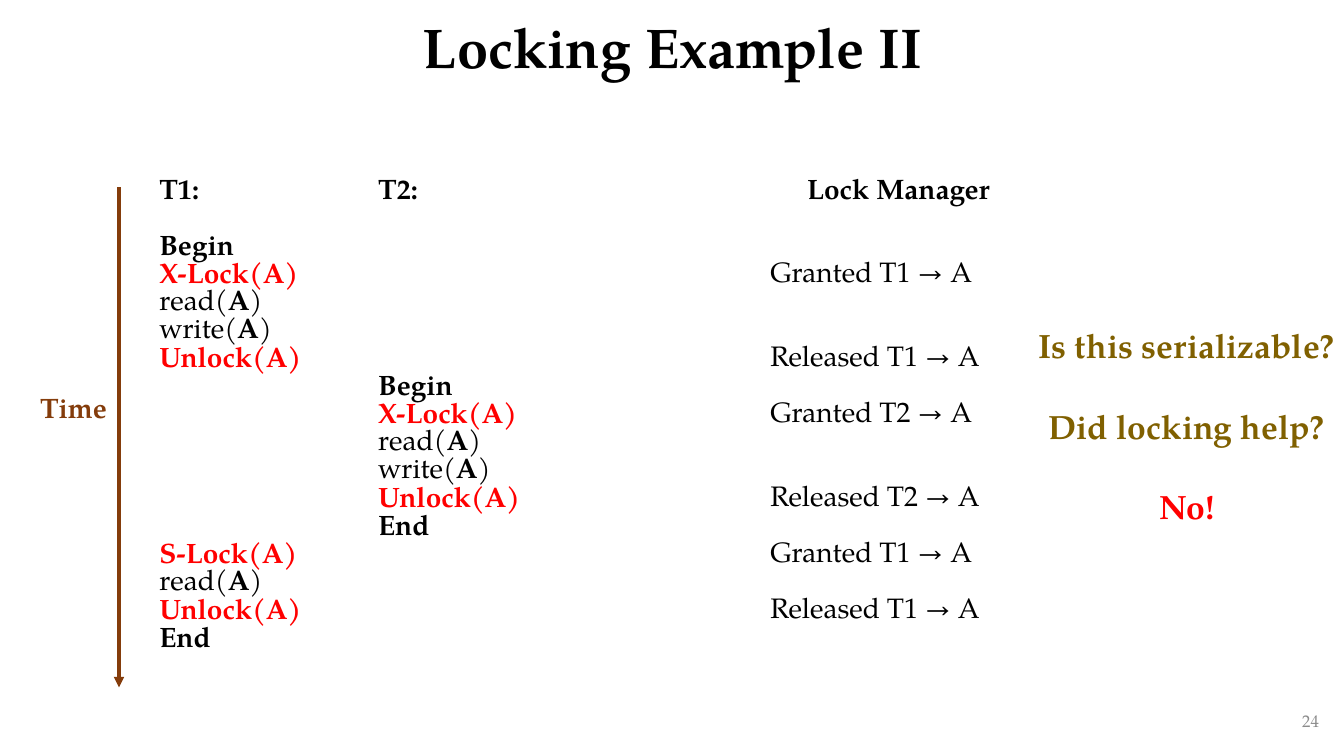
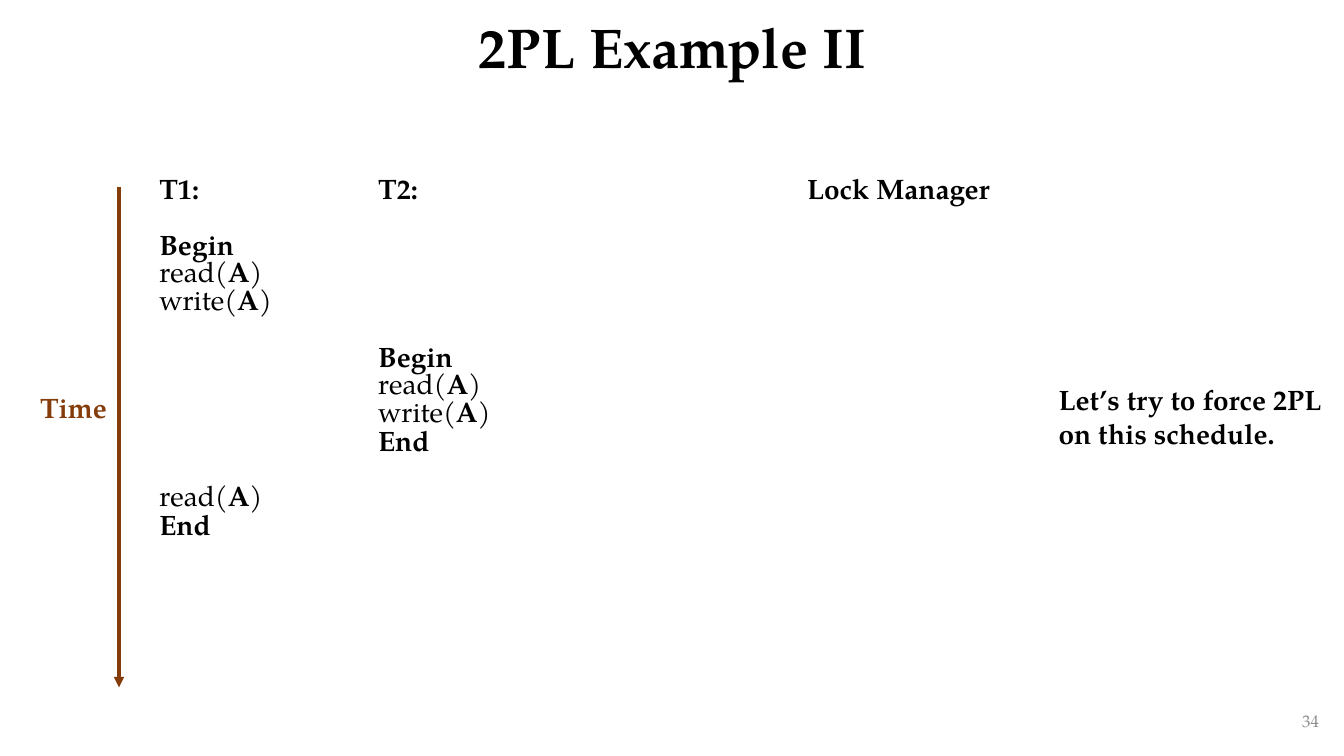
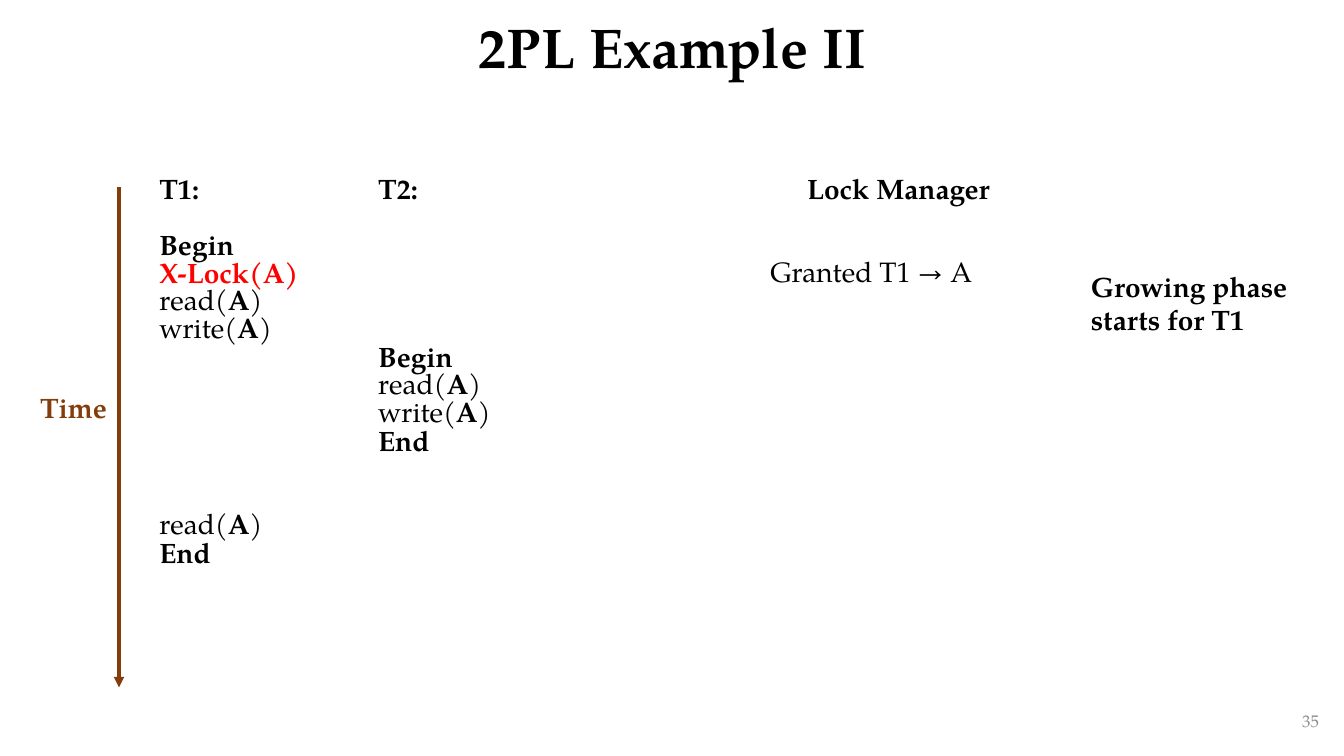
from pptx import Presentation
from pptx.dml.color import RGBColor
from pptx.enum.shapes import MSO_CONNECTOR
from pptx.enum.text import MSO_ANCHOR, PP_ALIGN
from pptx.oxml.ns import qn
from pptx.util import Inches, Pt
from lxml import etree

LEFT, CENTER, RIGHT = PP_ALIGN.LEFT, PP_ALIGN.CENTER, PP_ALIGN.RIGHT
TOP, MIDDLE = MSO_ANCHOR.TOP, MSO_ANCHOR.MIDDLE
STRAIGHT = MSO_CONNECTOR.STRAIGHT

FONT = "TeX Gyre Pagella"
COLORS = {"black": "000000", "red": "FF0000", "brown": "843C0B",
          "olive": "806000", "gray": "8C8C8C"}
LINE = 20  # height in points of one schedule step
TABLE_TOP = 1.72


class Deck:
    def __init__(self):
        self.prs = Presentation()
        self.prs.slide_width, self.prs.slide_height = Inches(13.33), Inches(7.5)
        self.slide = None

    def style(self, r, size=20, color="black", bold=True):
        r.font.name, r.font.size, r.font.bold = FONT, Pt(size), bold
        r.font.color.rgb = RGBColor.from_string(COLORS[color])

    def text(self, x, y, w, h, lines, size=20, color="black", bold=True,
             align=LEFT, anchor=TOP, spacing=None, gap=0):
        """Text box; a line is a string or a (string, color) pair."""
        tf = self.slide.shapes.add_textbox(
            Inches(x), Inches(y), Inches(w), Inches(h)).text_frame
        tf.word_wrap, tf.vertical_anchor = True, anchor
        for i, line in enumerate(lines):
            words, ink = (line, color) if isinstance(line, str) else line
            p = tf.add_paragraph() if i else tf.paragraphs[0]
            p.text, p.alignment = words, align
            if spacing:
                p.line_spacing = spacing
            if i and gap:
                p.space_before = Pt(gap)
            self.style(p.runs[0], size, ink, bold)

    def step(self, p, words):
        """One schedule step: lock calls in red, operations plain with a bold item."""
        if words.startswith(("read", "write")):
            head, tail = words.split("A")
            for part in (head, "A", tail):
                r = p.add_run()
                r.text = part
                self.style(r, bold=part == "A")
        else:
            p.text = words
            color = "red" if "ock(" in words else "black"
            self.style(p.runs[0], color=color,
                       bold=not words.startswith(("Granted", "Released")))

    def schedule(self, x, widths, height, columns, align=LEFT):
        """One-row table; a column is a heading and a dict of row number to step."""
        table = self.slide.shapes.add_table(
            1, len(widths), Inches(x), Inches(TABLE_TOP),
            Inches(sum(widths)), Inches(height)).table
        table.first_row = table.horz_banding = False
        for i, (heading, steps) in enumerate(columns):
            table.columns[i].width = Inches(widths[i])
            cell = table.cell(0, i)
            cell.fill.background()
            tf = cell.text_frame
            last = 0
            for row, words in {0: heading, **steps}.items():
                p = tf.add_paragraph() if row else tf.paragraphs[0]
                p.alignment = LEFT if row else align
                p.line_spacing = Pt(LINE)
                if row - last > 1:
                    p.space_before = Pt((row - last - 1) * LINE)
                self.step(p, words)
                last = row

    def time_arrow(self):
        sp = self.slide.shapes.add_connector(
            STRAIGHT, Inches(1.18), Inches(1.86), Inches(1.18), Inches(6.82))
        sp.line.color.rgb = RGBColor.from_string(COLORS["brown"])
        sp.line.width = Pt(2.5)
        etree.SubElement(sp.line._get_or_add_ln(), qn("a:tailEnd"), type="triangle")
        etree.SubElement(sp._element.spPr, qn("a:effectLst"))
        self.text(0.3, 3.83, 0.89, 0.44, ["Time"], color="brown")

    def add_slide(self, title, number, t1, t2, locks, height):
        self.slide = self.prs.slides.add_slide(self.prs.slide_layouts[6])
        self.text(0.92, 0, 11.5, 0.99, [title], size=40, align=CENTER,
                  anchor=MIDDLE, spacing=0.9)
        self.text(10.18, 6.95, 3, 0.4, [number], size=12, color="gray",
                  bold=False, align=RIGHT, anchor=MIDDLE)
        self.schedule(1.48, [2.17, 2.05], height, [("T1:", t1), ("T2:", t2)])
        self.time_arrow()
        self.schedule(7.54, [2.74], 3.36, [("Lock Manager", locks)], align=CENTER)


def rows(start, *steps):
    """Number consecutive steps from a starting row."""
    return dict(enumerate(steps, start))


def main():
    deck = Deck()
    access = ("read(A)", "write(A)")
    locked = ("X-Lock(A)", *access, "Unlock(A)")
    t2_plain = rows(6, "Begin", *access, "End")

    # Locks released early
    deck.add_slide(
        "Locking Example II", "24",
        {**rows(2, "Begin", *locked),
         **rows(13, "S-Lock(A)", "read(A)", "Unlock(A)", "End")},
        rows(7, "Begin", *locked, "End"),
        {3: "Granted T1 → A", 6: "Released T1 → A",
         8: "Granted T2 → A", 11: "Released T2 → A",
         13: "Granted T1 → A", 15: "Released T1 → A"}, 5.63)
    deck.text(10.19, 3.17, 3.16, 2.12,
              ["Is this serializable?", "Did locking help?", ("No!", "red")],
              size=24, color="olive", align=CENTER, gap=29)

    # Schedule without locks
    deck.add_slide(
        "2PL Example II", "34",
        {**rows(2, "Begin", *access), **rows(11, "read(A)", "End")},
        t2_plain, {}, 4.77)
    deck.text(10.4, 3.75, 2.82, 0.77, ["Let’s try to force 2PL on this schedule."])

    # First lock granted
    deck.add_slide(
        "2PL Example II", "35",
        {**rows(2, "Begin", "X-Lock(A)", *access), **rows(12, "read(A)", "End")},
        t2_plain, {3: "Granted T1 → A"}, 4.77)
    deck.text(10.72, 2.62, 2.28, 0.77, ["Growing phase starts for T1"])

    deck.prs.save("out.pptx")


if __name__ == "__main__":
    main()
